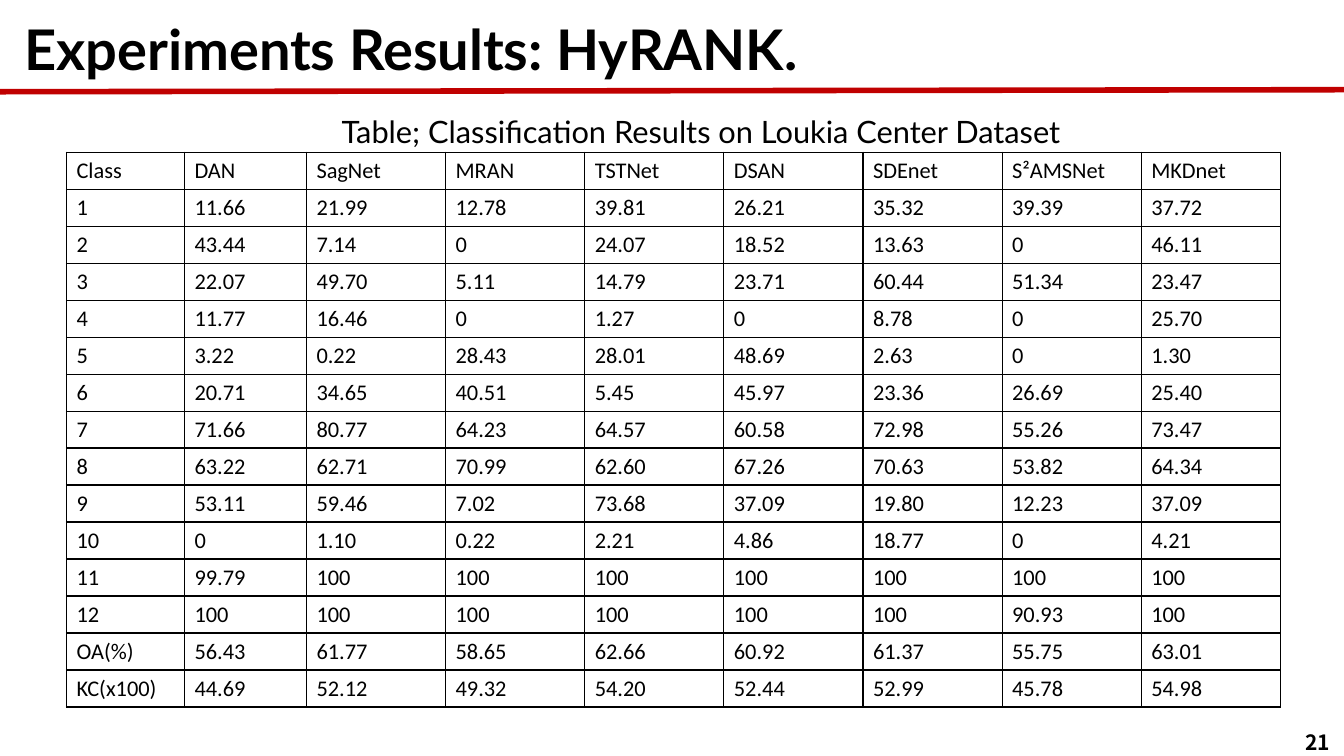
from dataclasses import dataclass

from lxml import etree
from pptx import Presentation
from pptx.dml.color import RGBColor
from pptx.enum import shapes, text
from pptx.oxml import ns
from pptx.util import Pt

PX = 9144
BLACK = RGBColor(0x00, 0x00, 0x00)
WHITE = RGBColor(0xFF, 0xFF, 0xFF)
RED = RGBColor(0xC0, 0x00, 0x00)

COLUMN_WIDTHS = [117, 121] + [138] * 7
ROW_HEIGHT = 31
TABLE_BOX = (66, 151, 1200, 550)
RESULTS = [
    row.split()
    for row in """
Class DAN SagNet MRAN TSTNet DSAN SDEnet S²AMSNet MKDnet
1 11.66 21.99 12.78 39.81 26.21 35.32 39.39 37.72
2 43.44 7.14 0 24.07 18.52 13.63 0 46.11
3 22.07 49.70 5.11 14.79 23.71 60.44 51.34 23.47
4 11.77 16.46 0 1.27 0 8.78 0 25.70
5 3.22 0.22 28.43 28.01 48.69 2.63 0 1.30
6 20.71 34.65 40.51 5.45 45.97 23.36 26.69 25.40
7 71.66 80.77 64.23 64.57 60.58 72.98 55.26 73.47
8 63.22 62.71 70.99 62.60 67.26 70.63 53.82 64.34
9 53.11 59.46 7.02 73.68 37.09 19.80 12.23 37.09
10 0 1.10 0.22 2.21 4.86 18.77 0 4.21
11 99.79 100 100 100 100 100 100 100
12 100 100 100 100 100 100 90.93 100
OA(%) 56.43 61.77 58.65 62.66 60.92 61.37 55.75 63.01
KC(x100) 44.69 52.12 49.32 54.20 52.44 52.99 45.78 54.98
""".strip().splitlines()
]


@dataclass(frozen=True)
class Label:
    """A text box with one line of text."""

    words: str
    left: int
    top: int
    width: int
    height: int
    size: int
    font: str = "Lato"
    bold: bool = False
    align: text.PP_ALIGN = text.PP_ALIGN.LEFT
    anchor: text.MSO_ANCHOR = text.MSO_ANCHOR.TOP
    fit: text.MSO_AUTO_SIZE = text.MSO_AUTO_SIZE.SHAPE_TO_FIT_TEXT


LABELS = [
    Label("21", 1104, 716, 225, 40, 15, "Noto Sans CJK SC", True,
          text.PP_ALIGN.RIGHT, text.MSO_ANCHOR.MIDDLE, text.MSO_AUTO_SIZE.NONE),
    Label("Experiments Results: HyRANK.", 14, 10, 1169, 77, 40, bold=True),
    Label("Table; Classification Results on Loukia Center Dataset",
          329, 107, 797, 47, 22),
]


def format_paragraph(para, font: str, size: int, bold: bool = False) -> None:
    for span in para.runs:
        span.font.name = font
        span.font.size = Pt(size)
        span.font.bold = bold
        span.font.color.rgb = BLACK


def add_label(page, label: Label) -> None:
    box = page.shapes.add_textbox(
        label.left * PX, label.top * PX, label.width * PX, label.height * PX)
    frame = box.text_frame
    frame.text = label.words
    frame.word_wrap = True
    frame.auto_size = label.fit
    frame.vertical_anchor = label.anchor
    para = frame.paragraphs[0]
    para.alignment = label.align
    format_paragraph(para, label.font, label.size, label.bold)


def add_title_rule(page) -> None:
    rule = page.shapes.add_connector(
        shapes.MSO_CONNECTOR.STRAIGHT, -1 * PX, 91 * PX, 1333 * PX, 89 * PX)
    rule.line.color.rgb = RED
    rule.line.width = Pt(4)
    etree.SubElement(rule._element.spPr, ns.qn("a:effectLst"))


def add_borders(cell) -> None:
    properties = cell._tc.get_or_add_tcPr()
    for side in ("lnL", "lnR", "lnT", "lnB"):
        border = etree.SubElement(properties, ns.qn(f"a:{side}"), w=str(Pt(1)))
        fill = etree.SubElement(border, ns.qn("a:solidFill"))
        etree.SubElement(fill, ns.qn("a:srgbClr"), val=str(BLACK))


def add_results_table(page) -> None:
    frame = page.shapes.add_table(
        len(RESULTS), len(COLUMN_WIDTHS), *(length * PX for length in TABLE_BOX))
    table = frame.table
    table.first_row = False
    table.horz_banding = False
    for column, width in zip(table.columns, COLUMN_WIDTHS):
        column.width = width * PX
    for row, values in zip(table.rows, RESULTS):
        row.height = ROW_HEIGHT * PX
        for cell, value in zip(row.cells, values):
            cell.text_frame.text = value
            format_paragraph(cell.text_frame.paragraphs[0], "Calibri", 16)
            add_borders(cell)
            cell.fill.solid()
            cell.fill.fore_color.rgb = WHITE
    frame.height = TABLE_BOX[3] * PX


def main() -> None:
    deck = Presentation()
    deck.slide_width = 1333 * PX
    deck.slide_height = 750 * PX
    page = deck.slides.add_slide(deck.slide_layouts[6])
    add_title_rule(page)
    for label in LABELS:
        add_label(page, label)
    add_results_table(page)
    deck.save("out.pptx")


if __name__ == "__main__":
    main()
